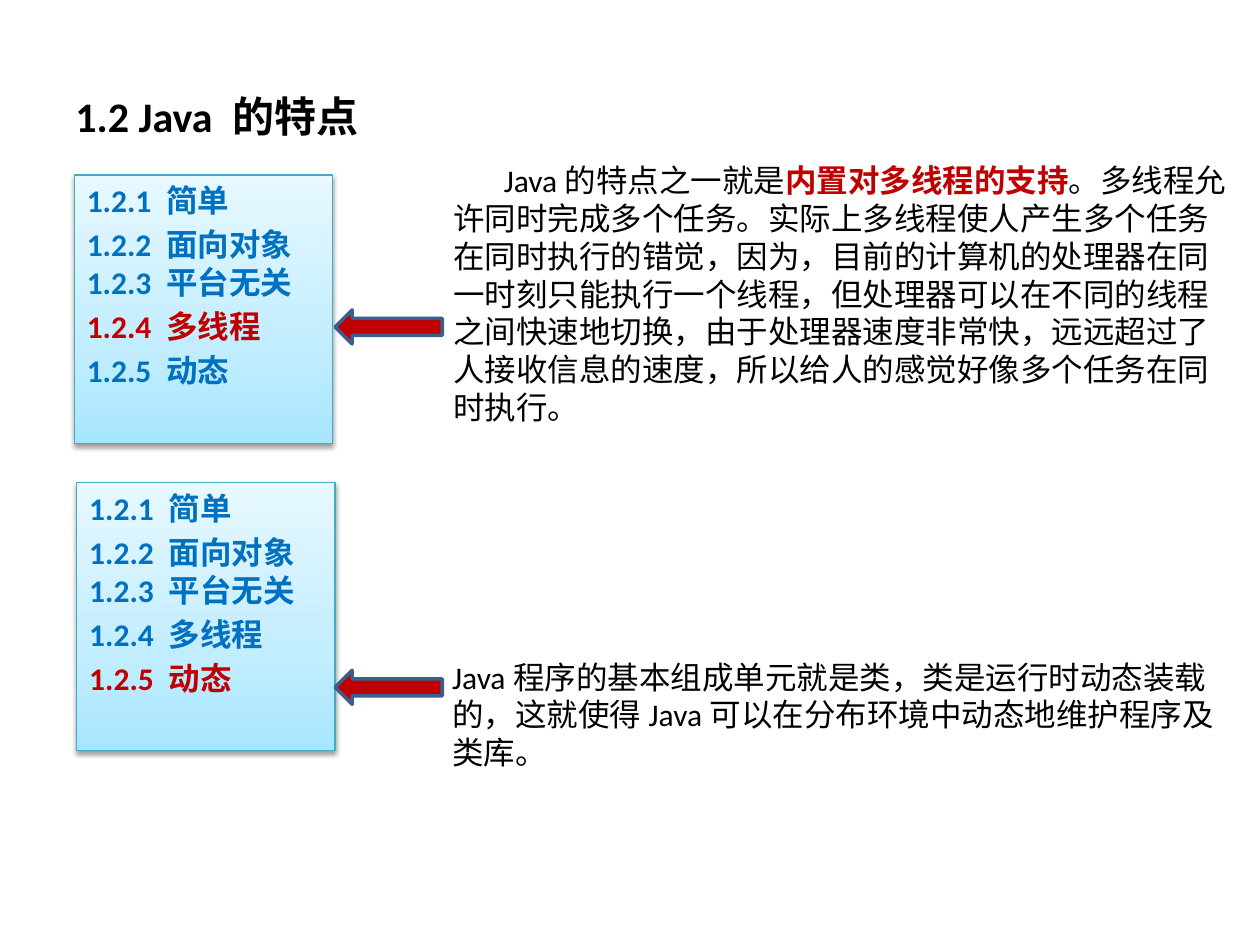
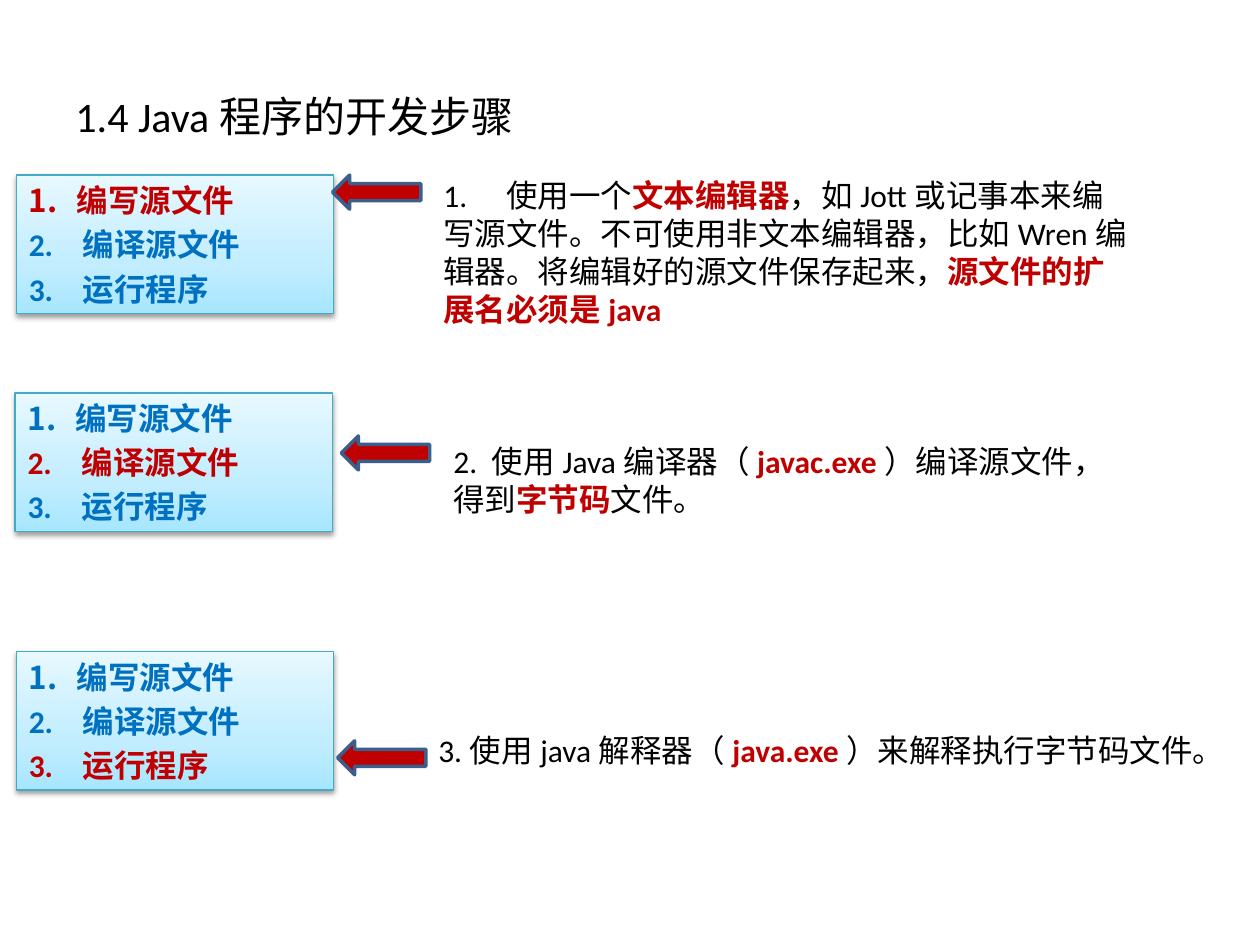
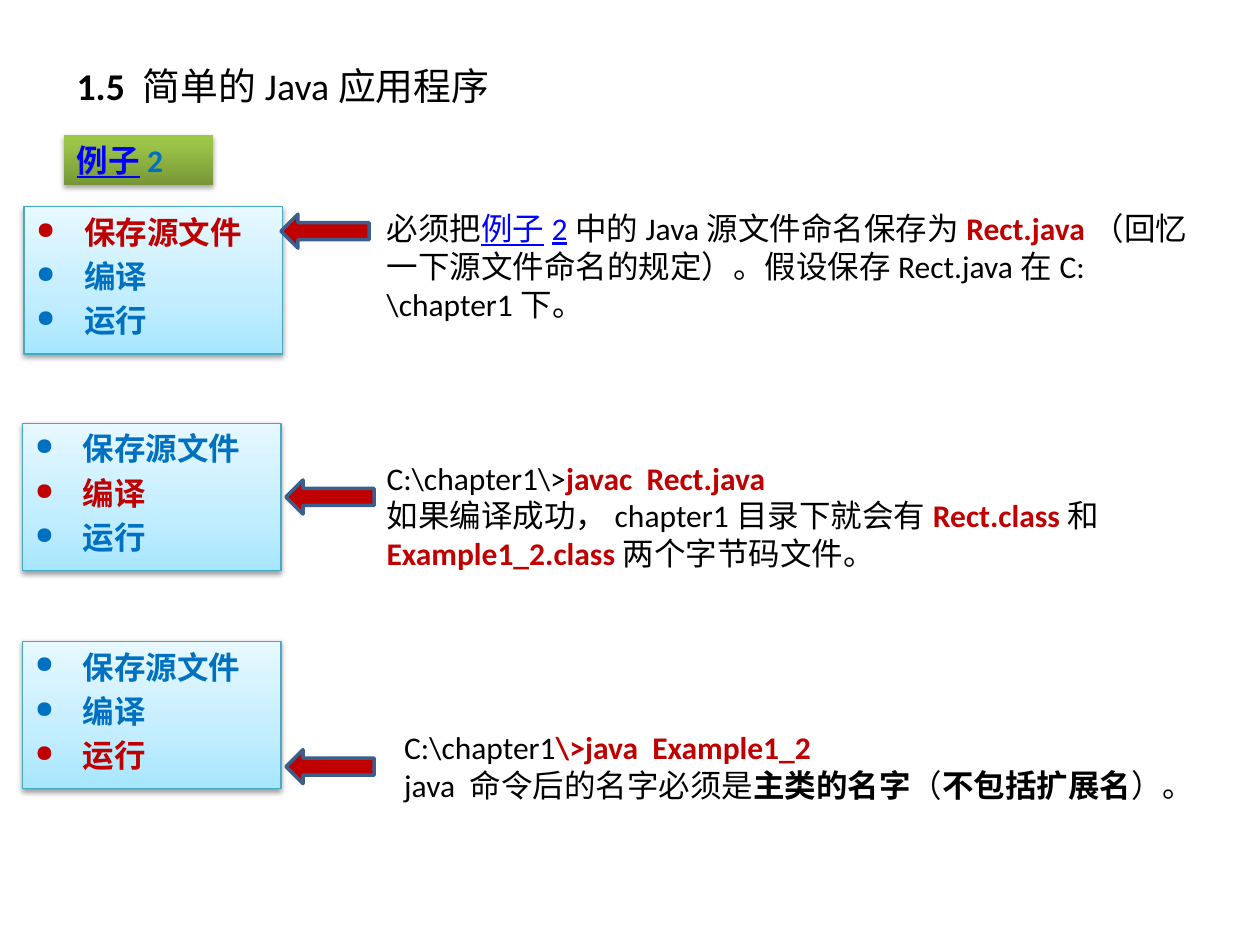
from dataclasses import dataclass

from lxml.etree import SubElement
from pptx import Presentation
from pptx.dml.color import RGBColor
from pptx.enum.shapes import MSO_SHAPE
from pptx.enum.text import MSO_ANCHOR, PP_ALIGN
from pptx.oxml.ns import qn
from pptx.util import Inches, Pt


@dataclass(frozen=True)
class Theme:
    font: str = "Calibri"
    black: str = "000000"
    red: str = "C00000"
    blue: str = "0070C0"
    link: str = "0000FF"
    menu_line: str = "46AAC5"
    arrow_line: str = "3A5F8C"
    menu_stops: tuple = ((0, "A7E6FF"), (35, "C1EDFF"), (100, "E7F8FF"))
    badge_stops: tuple = ((0, "779737"), (80, "9BC348"), (100, "9DC746"))
    title_size: float = 24
    small_title_size: float = 21.6
    body_size: float = 18
    menu_gap: float = 3.6


@dataclass(frozen=True)
class Style:
    colour: str
    bold: bool = False
    underline: bool = False


@dataclass(frozen=True)
class Entry:
    text: str
    hang: float = 0
    bullet: tuple = ()


THEME = Theme()
PLAIN = Style(THEME.black)
STRONG = Style(THEME.black, bold=True)
KEY = Style(THEME.red, bold=True)
MENU = Style(THEME.blue, bold=True)
LINK = Style(THEME.link, underline=True)
BOLD_LINK = Style(THEME.link, bold=True, underline=True)

DOT = (("a:buSzPct", {"val": "75000"}), ("a:buChar", {"char": "●"}))
NUMBER = (("a:buAutoNum", {"type": "arabicPeriod"}),)
FEATURES = [Entry(text) for text in (
    "1.2.1 简单", "1.2.2 面向对象\v1.2.3 平台无关", "1.2.4 多线程", "1.2.5 动态")]
STEPS = [Entry("编写源文件", 0.38, NUMBER), Entry("2.\t编译源文件", 0.43),
         Entry("3.\t运行程序", 0.43)]
ACTIONS = [Entry(text, 0.38, DOT) for text in ("保存源文件", "编译", "运行")]


def format_run(run, style, size):
    run.font.name = THEME.font
    run.font.size = Pt(size)
    run.font.bold = style.bold
    run.font.underline = style.underline
    run.font.color.rgb = RGBColor.from_string(style.colour)


def write_runs(paragraph, pieces, size=THEME.body_size):
    for text, style in pieces:
        run = paragraph.add_run()
        run.text = text
        format_run(run, style, size)


def paragraphs_for(text_frame, items):
    for index, item in enumerate(items):
        yield (text_frame.add_paragraph() if index else text_frame.paragraphs[0]), item


def set_indent(paragraph, left, first):
    properties = paragraph._p.get_or_add_pPr()
    properties.set("marL", str(Inches(left)))
    properties.set("indent", str(Inches(first)))
    return properties


def add_text_box(slide, box):
    shape = slide.shapes.add_textbox(*map(Inches, box))
    shape.text_frame.word_wrap = True
    return shape.text_frame


def add_title(slide, box, pieces, size):
    text_frame = add_text_box(slide, box)
    text_frame.vertical_anchor = MSO_ANCHOR.BOTTOM
    text_frame.margin_bottom = Inches(0.05) + Pt(size * 1.2)
    write_runs(text_frame.paragraphs[0], pieces, size)


def add_panel(slide, box, stops, shadow_alpha):
    shape = slide.shapes.add_shape(MSO_SHAPE.RECTANGLE, *map(Inches, box))
    shape.fill.gradient()
    shape.fill.gradient_angle = 90
    properties = shape._element.spPr
    stop_list = properties.find(qn("a:gradFill")).find(qn("a:gsLst"))
    for stop in list(stop_list):
        stop_list.remove(stop)
    for position, colour in stops:
        stop = SubElement(stop_list, qn("a:gs"), pos=str(position * 1000))
        SubElement(stop, qn("a:srgbClr"), val=colour)
    shape.line.fill.background()
    shape.shadow.inherit = False
    shadow = SubElement(properties.find(qn("a:effectLst")), qn("a:outerShdw"),
                        blurRad=str(Pt(3.1)), dist=str(Pt(1.6)),
                        dir="5400000", rotWithShape="0")
    colour = SubElement(shadow, qn("a:srgbClr"), val=THEME.black)
    SubElement(colour, qn("a:alpha"), val=str(shadow_alpha * 1000))
    shape.text_frame.word_wrap = True
    shape.text_frame.vertical_anchor = MSO_ANCHOR.TOP
    shape.text_frame.paragraphs[0].alignment = PP_ALIGN.LEFT
    return shape


def add_menu(slide, box, entries, active):
    shape = add_panel(slide, box, THEME.menu_stops, 38)
    shape.line.color.rgb = RGBColor.from_string(THEME.menu_line)
    shape.line.width = Pt(0.75)
    for index, (paragraph, entry) in enumerate(paragraphs_for(shape.text_frame, entries)):
        paragraph.text = entry.text
        paragraph.alignment = PP_ALIGN.LEFT
        if index:
            paragraph.space_before = Pt(THEME.menu_gap)
        if entry.hang:
            properties = set_indent(paragraph, entry.hang, -entry.hang)
            for tag, attributes in entry.bullet:
                SubElement(properties, qn(tag), attributes)
        for run in paragraph.runs:
            format_run(run, KEY if index == active else MENU, THEME.body_size)


def add_arrow(slide, left, top, width):
    shape = slide.shapes.add_shape(
        MSO_SHAPE.LEFT_ARROW, *map(Inches, (left, top, width, 0.27)))
    shape.fill.solid()
    shape.fill.fore_color.rgb = RGBColor.from_string(THEME.red)
    shape.line.color.rgb = RGBColor.from_string(THEME.arrow_line)
    shape.line.width = Pt(2)
    shape.shadow.inherit = False


def add_note(slide, box, paragraphs, first_indent=0, tab=0):
    text_frame = add_text_box(slide, box)
    for paragraph, pieces in paragraphs_for(text_frame, paragraphs):
        properties = set_indent(paragraph, 0, first_indent)
        if tab:
            tabs = SubElement(properties, qn("a:tabLst"))
            SubElement(tabs, qn("a:tab"), pos=str(Inches(tab)), algn="l")
        write_runs(paragraph, pieces)


def add_section(slide, box, entries, active, arrow, note, paragraphs, **note_options):
    left, top = box[:2]
    add_menu(slide, box, entries, active)
    add_arrow(slide, left + arrow[0], top + arrow[1], arrow[2])
    add_note(slide, (left + note[0], top + note[1], *note[2:]), paragraphs, **note_options)


def build_features(slide):
    add_title(slide, (0.5, 0.3, 3.08, 1.27), [("1.2 Java 的特点", STRONG)], THEME.title_size)
    add_section(
        slide, (0.59, 1.39, 2.05, 2.13), FEATURES, 2,
        (2.07, 1.07, 0.85), (2.91, -0.16, 6.38, 2.76),
        [[("Java的特点之一就是", PLAIN), ("内置对多线程的支持", KEY),
          ("。多线程允许同时完成多个任务。实际上多线程使人产生多个任务在同时执行的错觉，"
           "因为，目前的计算机的处理器在同一时刻只能执行一个线程，但处理器可以在不同的线程"
           "之间快速地切换，由于处理器速度非常快，远远超过了人接收信息的速度，"
           "所以给人的感觉好像多个任务在同时执行。", PLAIN)]],
        first_indent=0.4)
    add_section(
        slide, (0.61, 3.83, 2.05, 2.13), FEATURES, 3,
        (2.05, 1.49, 0.85), (2.88, 1.34, 6.38, 1.21),
        [[("Java程序的基本组成单元就是类，类是运行时动态装载的，"
           "这就使得Java可以在分布环境中动态地维护程序及类库。", PLAIN)]])


def build_steps(slide):
    add_title(slide, (0.5, 0.3, 3.95, 1.27), [("1.4 Java程序的开发步骤", PLAIN)],
              THEME.title_size)
    add_section(
        slide, (0.13, 1.39, 2.52, 1.1), STEPS, 0,
        (2.51, 0, 0.7), (3.29, -0.04, 5.68, 1.18),
        [[("1.\t使用一个", PLAIN), ("文本编辑器", KEY),
          ("，如Jott或记事本来编写源文件。不可使用非文本编辑器，比如Wren编辑器。"
           "将编辑好的源文件保存起来，", PLAIN),
          ("源文件的扩展名必须是java", KEY)]],
        tab=0.21)
    add_section(
        slide, (0.12, 3.12, 2.52, 1.1), STEPS, 1,
        (2.59, 0.34, 0.7), (3.38, 0.34, 5.59, 1.18),
        [[("2. 使用Java编译器（", PLAIN), ("javac.exe", KEY),
          ("）编译源文件，得到", PLAIN), ("字节码", KEY), ("文件。", PLAIN)]])
    add_section(
        slide, (0.13, 5.17, 2.52, 1.1), STEPS, 2,
        (2.55, 0.71, 0.7), (3.25, 0.58, 6.22, 0.52),
        [[("3.使用java解释器（", PLAIN), ("java.exe", KEY),
          ("）来解释执行字节码文件。", PLAIN)]])


def build_application(slide):
    add_title(slide, (0.51, 0, 3.63, 1.27),
              [("1.5 ", STRONG), ("简单的Java应用程序", PLAIN)], THEME.small_title_size)
    badge = add_panel(slide, (0.51, 1.07, 1.18, 0.4), THEME.badge_stops, 35)
    write_runs(badge.text_frame.paragraphs[0], [("例子", BOLD_LINK), ("2", MENU)])
    add_section(
        slide, (0.19, 1.64, 2.05, 1.17), ACTIONS, 0,
        (2.04, 0.06, 0.7), (2.78, -0.03, 6.68, 0.71),
        [[("必须把", PLAIN), ("例子2", LINK), ("中的Java源文件命名保存为", PLAIN),
          ("Rect.java", KEY),
          ("（回忆一下源文件命名的规定）。假设保存Rect.java在C:\\chapter1下。", PLAIN)]])
    add_section(
        slide, (0.18, 3.36, 2.05, 1.17), ACTIONS, 1,
        (2.09, 0.45, 0.7), (2.79, 0.23, 6.68, 1.01),
        [[("C:\\chapter1\\>", PLAIN), ("javac  Rect.java", KEY)],
         [("如果编译成功，chapter1目录下就会有", PLAIN), ("Rect.class", KEY), ("和", PLAIN),
          ("Example1_2.class", KEY), ("两个字节码文件。", PLAIN)]])
    add_section(
        slide, (0.18, 5.09, 2.05, 1.17), ACTIONS, 2,
        (2.09, 0.86, 0.7), (2.93, 0.64, 6.68, 0.71),
        [[("C:\\chapter1", PLAIN), ("\\>java  Example1_2", KEY)],
         [("java 命令后的名字必须是", PLAIN), ("主类的名字", STRONG), ("（", PLAIN),
          ("不包括扩展名", STRONG), ("）。", PLAIN)]])


def main():
    presentation = Presentation()
    presentation.slide_width = Inches(10)
    presentation.slide_height = Inches(7.5)
    for build in (build_features, build_steps, build_application):
        build(presentation.slides.add_slide(presentation.slide_layouts[6]))
    presentation.save("out.pptx")


if __name__ == "__main__":
    main()
